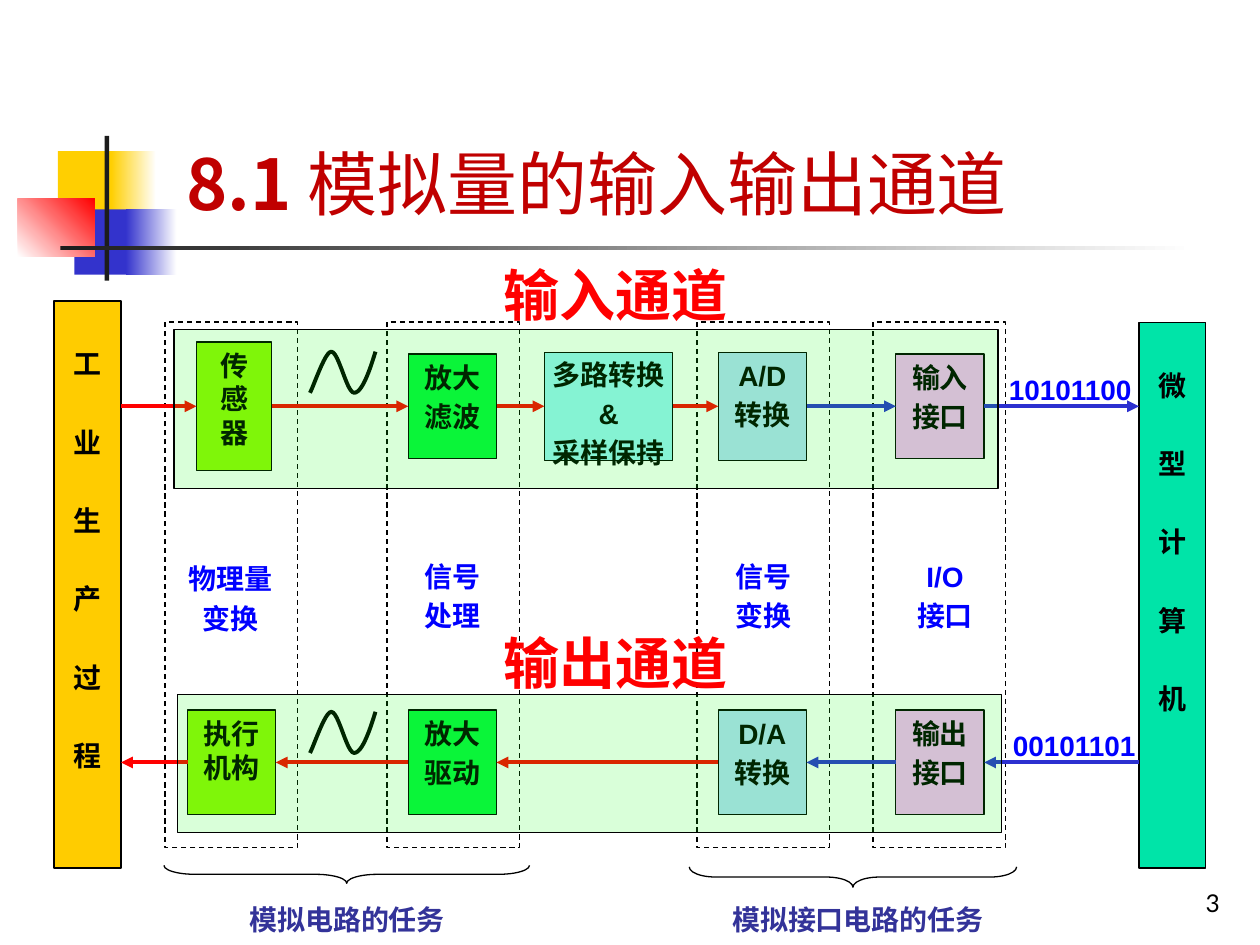
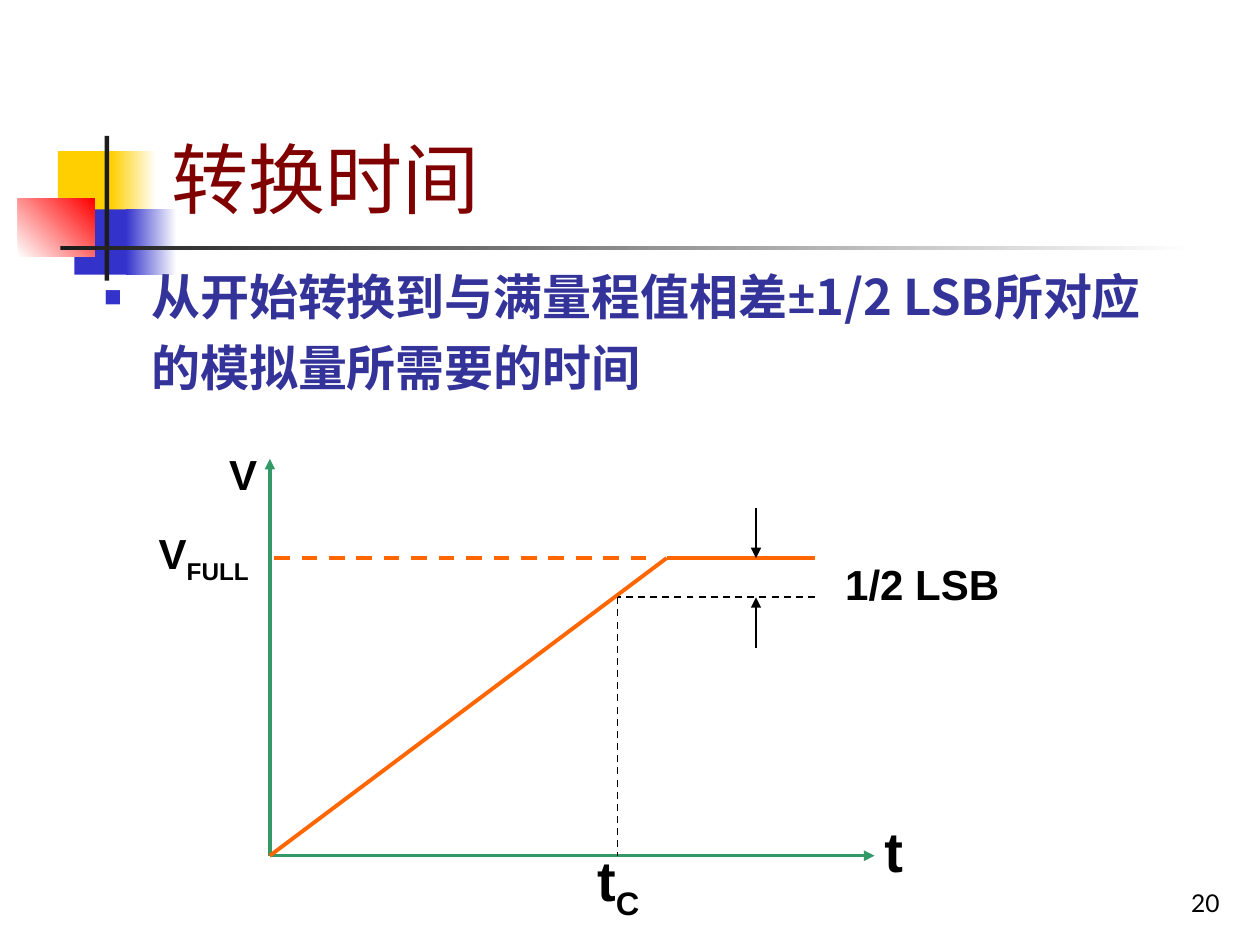
from lxml import etree
from pptx import Presentation
from pptx.dml.color import RGBColor
from pptx.enum.dml import MSO_LINE
from pptx.enum.shapes import MSO_CONNECTOR, MSO_SHAPE
from pptx.enum.text import MSO_ANCHOR, MSO_AUTO_SIZE, PP_ALIGN
from pptx.oxml.ns import qn
from pptx.util import Cm, Pt

RECT, BRACE = MSO_SHAPE.RECTANGLE, MSO_SHAPE.LEFT_BRACE
STRAIGHT, DASH = MSO_CONNECTOR.STRAIGHT, MSO_LINE.DASH
LEFT, CENTER, RIGHT = PP_ALIGN.LEFT, PP_ALIGN.CENTER, PP_ALIGN.RIGHT
TOP, BOTTOM = MSO_ANCHOR.TOP, MSO_ANCHOR.BOTTOM
LEFT_SIDE, RIGHT_SIDE = 1, 3

# Shared look
LATO, ARIAL, CJK = "Lato", "Arial", "Noto Sans CJK SC"
BLACK, WHITE, RED, BLUE = "000000", "FFFFFF", "FF0000", "0000FF"
INDIGO, SQUARE_BLUE, YELLOW, CHARCOAL = "333399", "3333CC", "FFCF01", "1C1C1C"
SIGNAL_BLUE, GREEN, ORANGE = "2C30D0", "339966", "FF6600"
NORMAL_MARGINS, NO_MARGINS = (0.25, 0.13, 0.25, 0.13), (0, 0, 0, 0)

# Corner ornament: place, colours from start to end, angle
ORNAMENT = [
    ((1.17, 3.05, 1.22, 1.32), [YELLOW], 0),
    ((2.24, 3.05, 0.91, 1.32), [YELLOW, WHITE], 0),
    ((1.5, 4.22, 1.17, 1.32), [SQUARE_BLUE], 0),
    ((2.54, 4.22, 1.02, 1.32), [SQUARE_BLUE, WHITE], 0),
    ((0.36, 4.01, 1.55, 1.17), [WHITE, RED], 45),
    ((2.11, 2.74, 0.09, 2.92), [CHARCOAL], 0),
    ((1.22, 4.95, 22.86, 0.09), [CHARCOAL, WHITE], 0),
]

# Channel slide: boxes as text, centre x, width, height, fill
INPUT_Y, OUTPUT_Y = 8.19, 15.37
INPUT_BOXES = [
    (["传感器"], 4.72, 1.52, 2.59, "96F50B"),
    (["放大", "滤波"], 9.12, 1.78, 2.11, "0CF443"),
    (["多路转换", "&", "采样保持"], 12.27, 2.59, 2.18, "9DF2F9"),
    (["A/D", "转换"], 15.37, 1.78, 2.18, "B6DDFA"),
    (["输入", "接口"], 18.95, 1.78, 2.11, "FAB6FA"),
]
OUTPUT_BOXES = [
    (["输出", "接口"], 18.95, 1.78, 2.11, "FAB6FA"),
    (["D/A", "转换"], 15.37, 1.78, 2.11, "B6DDFA"),
    (["放大", "驱动"], 9.12, 1.78, 2.11, "0CF443"),
    (["执行机构"], 4.67, 1.78, 2.11, "96F50B"),
]
INPUT_ARROWS = [RED] * 4 + [SIGNAL_BLUE] * 2
OUTPUT_ARROWS = [SIGNAL_BLUE] * 2 + [RED] * 3
PROCESS = ("工业生产过程", (1.09, 6.07, 1.35, 11.43), "FFCC00", "Times New Roman")
COMPUTER = ("微型计算机", (22.96, 6.5, 1.35, 11.0), "00E4A8", ARIAL)
STAGE_LEFTS = [3.33, 7.8, 14.05, 17.6]
STAGE_LABELS = [
    (["物理量", "变换"], (3.51, 11.2, 2.26, 2.11)),
    (["信号", "处理"], (8.13, 11.15, 1.98, 2.11)),
    (["信号", "变换"], (14.4, 11.15, 1.98, 2.11)),
    (["I/O", "接口"], (18.06, 11.15, 1.98, 2.11)),
]
CODES = [("00101101", (20.32, 14.81, 2.67, 0.58)),
         ("10101100", (20.24, 7.65, 2.67, 0.41))]
TASKS = [("模拟接口电路的任务", (14.3, 18.06, 5.99, 0.86)),
         ("模拟电路的任务", (4.5, 18.06, 5.0, 0.91))]
BRACES = [((6.81, 13.94, 0.36, 7.37), 1.74), ((16.99, 14.38, 0.41, 6.6), 1.31)]
BANDS = [(3.58, 14.0, 16.61, 2.79), (3.51, 6.65, 16.61, 3.2)]
CHANNEL_NAMES = [("输入通道", 5.26), ("输出通道", 12.67)]
WAVE_START = (7.57, 7.09)
WAVE_CURVES = [
    ((7.44, 7.52), (7.29, 7.92), (7.14, 7.92)),
    ((6.99, 7.92), (6.83, 7.09), (6.68, 7.09)),
    ((6.55, 7.09), (6.32, 7.8), (6.25, 7.92)),
]
WAVE_DROPS = [0, 7.26]

# Conversion time slide: lines as start, end, colour, width, dashed, arrow
ORIGIN, FULL_Y, HALF_Y, MARK_X = (5.44, 17.25), 11.25, 12.04, 15.24
RAMP_END, FLAT_END, TC_X = 13.44, 16.43, 12.45
GRAPH_LINES = [
    (ORIGIN, (5.44, 9.25), GREEN, 2, False, True),
    (ORIGIN, (17.63, 17.25), GREEN, 2, False, True),
    ((13.03, FULL_Y), (5.44, FULL_Y), ORANGE, 2.25, True, False),
    ((RAMP_END, FULL_Y), ORIGIN, ORANGE, 2.25, False, False),
    ((TC_X, HALF_Y), (TC_X, 17.25), BLACK, 1, True, False),
    ((FLAT_END, FULL_Y), (RAMP_END, FULL_Y), ORANGE, 2.25, False, False),
    ((FLAT_END, HALF_Y), (TC_X, HALF_Y), BLACK, 1, True, False),
    ((MARK_X, 10.24), (MARK_X, FULL_Y), BLACK, 1, False, True),
    ((MARK_X, 13.06), (MARK_X, HALF_Y), BLACK, 1, False, True),
]
SUBSCRIPT = {"subscript": True}
GRAPH_LABELS = [
    ([("t", {})], (17.83, 16.46, 0.61, 1.35), 32),
    ([("V", {})], (4.62, 9.04, 0.79, 1.02), 24),
    ([("1/2 LSB", {})], (17.04, 11.25, 3.4, 1.02), 24),
    ([("t", {}), ("C", SUBSCRIPT)], (12.04, 17.04, 1.19, 1.35), 32),
    ([("V", {}), ("FULL", SUBSCRIPT)], (3.2, 10.64, 2.21, 1.02), 24),
]
DEFINITION = [("从开始转换到与满量程值相差±", {}),
              ("1/2 LSB所对应的模拟量所需要的时间", {"font": CJK})]


def color(code):
    return RGBColor.from_string(code)


def add_child(parent, tag, **attributes):
    return etree.SubElement(parent, qn(tag), attributes)


def add_span(para, text, size, ink, font, bold, subscript=False):
    span = para.add_run()
    span.text = text
    span.font.size, span.font.name, span.font.bold = Pt(size), font, bold
    span.font.color.rgb = color(ink)
    properties = span._r.get_or_add_rPr()
    add_child(properties, "a:ea", typeface=LATO)
    if subscript:
        properties.set("baseline", "-25000")


def write(box, paragraphs, size=16, ink=BLACK, font=ARIAL, bold=True, align=CENTER,
          before=3.2, spacing=None, anchor=TOP, margins=NORMAL_MARGINS):
    """Fill a box; a paragraph is a string or a list of (text, changes)."""
    frame = box.text_frame
    frame.word_wrap, frame.auto_size = True, MSO_AUTO_SIZE.NONE
    frame.vertical_anchor = anchor
    (frame.margin_left, frame.margin_top,
     frame.margin_right, frame.margin_bottom) = map(Cm, margins)
    for index, content in enumerate(paragraphs):
        para = frame.add_paragraph() if index else frame.paragraphs[0]
        para.alignment, para.space_before = align, Pt(before)
        if spacing:
            para.line_spacing = spacing
        spans = [(content, {})] if isinstance(content, str) else content
        for text, changes in spans:
            style = {"size": size, "ink": ink, "font": font, "bold": bold} | changes
            add_span(para, text, **style)
    return box


def add_text(page, place, paragraphs, **style):
    return write(page.shapes.add_textbox(*map(Cm, place)), paragraphs, **style)


def add_box(page, place, fill=None, line=BLACK, kind=RECT):
    box = page.shapes.add_shape(kind, *map(Cm, place))
    box.shadow.inherit = False
    if fill:
        box.fill.solid()
        box.fill.fore_color.rgb = color(fill)
    else:
        box.fill.background()
    if line:
        box.line.color.rgb, box.line.width = color(line), Pt(0.75)
    else:
        box.line.fill.background()
    return box


def add_line(page, start, end, ink, width=2.25, dashed=False, arrow=False):
    line = page.shapes.add_connector(STRAIGHT, *map(Cm, start + end))
    line.line.color.rgb, line.line.width = color(ink), Pt(width)
    if dashed:
        line.line.dash_style = DASH
    if arrow:
        add_child(line.line._get_or_add_ln(), "a:tailEnd", type="triangle")
    add_child(line._element.spPr, "a:effectLst")
    return line


def start_page(deck, number, title, place, **style):
    page = deck.slides.add_slide(deck.slide_layouts[5])
    for part_place, colors, angle in ORNAMENT:
        part = add_box(page, part_place, colors[0], line=None)
        if len(colors) > 1:
            part.fill.gradient()
            part.fill.gradient_angle = angle
            for stop, code in zip(part.fill.gradient_stops, colors):
                stop.color.rgb = color(code)
    add_text(page, (19.56, 17.35, 5.28, 1.27), [number], size=14, font=LATO,
             bold=False, align=RIGHT, before=0, anchor=BOTTOM)
    heading = page.shapes.title
    heading.left, heading.top, heading.width, heading.height = map(Cm, place)
    write(heading, [title], align=LEFT, before=0, **style)
    return page


def add_side_bar(page, text, place, fill, font):
    write(add_box(page, place, fill), list(text), font=font, before=25.6,
          margins=(0.25, 0.92, 0.25, 0.13))


def add_channel(page, boxes, middle, arrows, start_x, end_x):
    """Boxes centred on one line, joined by arrows from start_x to end_x."""
    shapes = []
    for texts, center, width, height, fill in boxes:
        box = add_box(page, (center - width / 2, middle - height / 2, width, height), fill)
        wide = len(texts) == 3
        write(box, texts, margins=(0, 0.1, 0, 0) if wide else NORMAL_MARGINS)
        shapes.append(box)
    forward = start_x < end_x
    exit_side, entry_side = (RIGHT_SIDE, LEFT_SIDE) if forward else (LEFT_SIDE, RIGHT_SIDE)
    for source, target, ink in zip([None] + shapes, shapes + [None], arrows):
        arrow = add_line(page, (start_x, middle), (end_x, middle), ink, arrow=True)
        if source:
            arrow.begin_connect(source, exit_side)
        if target:
            arrow.end_connect(target, entry_side)


def wave_points(steps=12):
    """Points along the chained cubic curves of the wave."""
    points = [WAVE_START]
    for first, second, end in WAVE_CURVES:
        start = points[-1]
        for step in range(1, steps + 1):
            t = step / steps
            points.append(tuple(
                a * (1 - t) ** 3 + 3 * b * t * (1 - t) ** 2 + 3 * c * t * t * (1 - t) + d * t ** 3
                for a, b, c, d in zip(start, first, second, end)))
    return points


def add_wave(page, drop):
    points = [(Cm(x), Cm(y + drop)) for x, y in wave_points()]
    builder = page.shapes.build_freeform(*points[0])
    builder.add_line_segments(points[1:], close=False)
    wave = builder.convert_to_shape()
    wave.shadow.inherit = False
    wave.fill.background()
    wave.line.color.rgb, wave.line.width = color(BLACK), Pt(2.25)


def build_channels(deck):
    title = [("8.1 ", {"bold": True}), ("模拟量的输入输出通道", {})]
    page = start_page(deck, "3", title, (3.51, 2.7, 18.03, 1.96),
                      size=40, ink="C00000", font=CJK, bold=False)
    # Tasks, codes and stage frames
    for text, place in TASKS:
        add_text(page, place, [text], ink=INDIGO)
    for text, place in CODES:
        add_text(page, place, [text], ink=BLUE, spacing=0.8, margins=NO_MARGINS)
    for left in STAGE_LEFTS:
        add_box(page, (left, 6.49, 2.67, 10.6)).line.dash_style = DASH
    # Both channels between process and computer
    add_side_bar(page, *PROCESS)
    add_side_bar(page, *COMPUTER)
    process_edge, computer_edge = PROCESS[1][0] + PROCESS[1][2], COMPUTER[1][0]
    add_channel(page, INPUT_BOXES, INPUT_Y, INPUT_ARROWS, process_edge, computer_edge)
    add_channel(page, OUTPUT_BOXES, OUTPUT_Y, OUTPUT_ARROWS, computer_edge, process_edge)
    for texts, place in STAGE_LABELS:
        add_text(page, place, texts, ink=BLUE)
    for drop in WAVE_DROPS:
        add_wave(page, drop)
    # Braces, tinted bands and channel names
    for place, bend in BRACES:
        brace = add_box(page, place, kind=BRACE)
        brace.rotation = 270
        brace.adjustments[0], brace.adjustments[1] = bend, 0.5
    for place in BANDS:
        band = add_box(page, place, "00FF00")
        tint = band._element.spPr.find(qn("a:solidFill"))[0]
        add_child(tint, "a:alpha", val="15000")
    for text, top in CHANNEL_NAMES:
        add_text(page, (9.91, top, 5.0, 1.35), [text], size=32, ink=RED, margins=NO_MARGINS)


def build_conversion_time(deck):
    page = start_page(deck, "20", "转换时间", (3.2, 0.58, 21.64, 4.06), size=44,
                      ink="800000", font=LATO, bold=False, anchor=BOTTOM)
    # Definition with a square bullet
    body = add_text(page, (1.85, 5.01, 21.59, 3.81), [DEFINITION], size=28, ink=INDIGO,
                    font=LATO, align=LEFT, before=5.6, spacing=1.2)
    para = body.text_frame.paragraphs[0]
    para.space_after = Pt(1.4)
    properties = para._p.get_or_add_pPr()
    properties.set("marL", str(Cm(0.95)))
    properties.set("indent", str(-Cm(0.95)))
    add_child(add_child(properties, "a:buClr"), "a:srgbClr", val=SQUARE_BLUE)
    add_child(properties, "a:buSzPct", val="60000")
    add_child(properties, "a:buFont", typeface=ARIAL)
    add_child(properties, "a:buChar", char="■")
    # Graph
    for line in GRAPH_LINES:
        add_line(page, *line)
    for spans, place, size in GRAPH_LABELS:
        add_text(page, place, [spans], size=size, align=LEFT, before=0, margins=NO_MARGINS)


def main():
    deck = Presentation()
    deck.slide_width, deck.slide_height = Cm(25.4), Cm(19.05)
    build_channels(deck)
    build_conversion_time(deck)
    deck.save("out.pptx")


if __name__ == "__main__":
    main()
